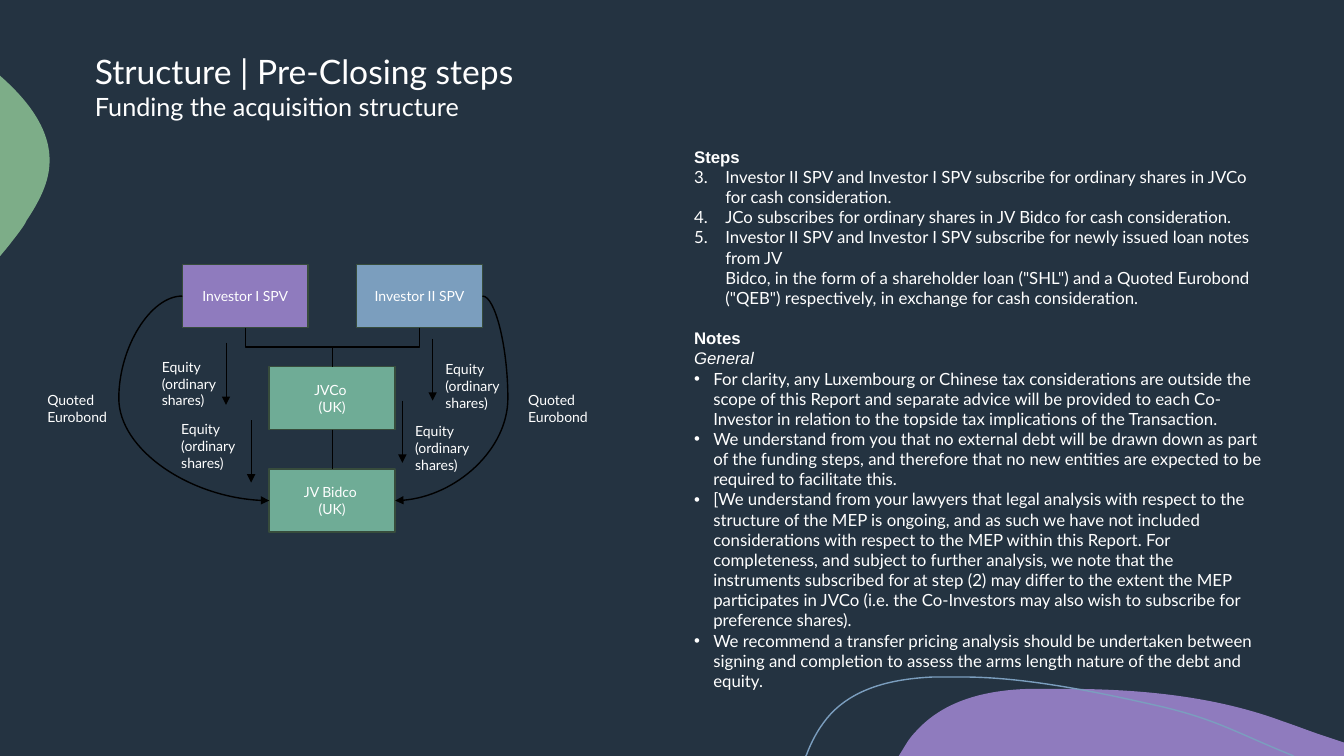
from dataclasses import dataclass
from typing import Optional

from lxml.etree import SubElement
from pptx import Presentation
from pptx.dml.color import RGBColor
from pptx.enum.shapes import MSO_CONNECTOR as Link, MSO_SHAPE as Preset
from pptx.enum.text import MSO_ANCHOR as Anchor, MSO_AUTO_SIZE as Fit, PP_ALIGN as Align
from pptx.oxml.ns import qn
from pptx.util import Inches, Pt

COLUMNS, ROWS = 160, 90
WIDTH, HEIGHT = Inches(13.33), Inches(7.5)
COLORS = {"back": "243341", "white": "FFFFFF", "black": "000000", "purple": "8F7BBE",
          "blue": "7B9EBE", "teal": "6FAC96", "leaf": "7DAD88", "edge": "374C3C"}
BOX_WIDTH, BOX_HEIGHT = 15, 7.5
ARROW_LENGTH = 7.4


@dataclass(frozen=True)
class Entity:
    column: float
    row: float
    color: str
    lines: tuple[str, ...]


@dataclass(frozen=True)
class Label:
    text: str
    column: float
    row: float
    width: float
    height: float


@dataclass(frozen=True)
class Span:
    text: str
    size: float = 12
    font: str = "Lato"
    bold: bool = False
    italic: bool = False
    bullet: str = ""
    indent: float = 0
    before: float = 0
    align: Align = Align.LEFT


@dataclass(frozen=True)
class Blob:
    """An outline whose steps are line ends (2 numbers) or cubic curves (6 numbers)."""
    color: str
    start: tuple[float, float]
    steps: tuple[tuple[float, ...], ...]
    filled: bool = True


BLOBS = (
    Blob("purple", (126.5, 82), (
        (135.4, 82, 144.5, 82.8, 152.8, 85.9), (154.3, 86.4, 155.8, 87, 157.3, 87.5),
        (160, 88.4), (160, 90), (107, 90), (107.8, 88.7),
        (108.2, 88, 108.7, 87.4, 109.3, 86.8), (112.7, 83.2, 117.8, 82.1, 122.8, 82),
        (124, 82, 125.2, 82, 126.5, 82))),
    Blob("leaf", (0, 9), (
        (0.1, 9.1), (3.6, 12.2, 6.5, 16, 5.8, 20.4), (5.5, 22.4, 4.4, 24.4, 3.2, 26.2),
        (2.9, 26.9, 2, 28, 1, 29.3), (0, 30.5))),
    Blob("blue", (95.9, 90), (
        (96, 89.9), (96.7, 88, 97.7, 86.3, 98.9, 85), (102, 81.7, 106.7, 80.8, 111.1, 80.6),
        (114.6, 80.6), (122.6, 80.6, 132, 82.7, 138.6, 84.2),
        (145.1, 85.8, 147.1, 87.2, 154, 90)), filled=False),
)
JVCO = Entity(32.05, 43.65, "teal", ("JVCo ", "(UK)"))
INVESTOR_1 = Entity(21.7, 31.5, "purple", ("Investor I SPV",))
INVESTOR_2 = Entity(42.45, 31.5, "blue", ("Investor II SPV",))
BIDCO = Entity(32.05, 55.85, "teal", ("JV Bidco ", "(UK)"))
EQUITY, BOND = "Equity (ordinary shares)", "Quoted Eurobond"
LABELS = (
    Label(EQUITY, 51.85, 42.35, 9.5, 7.3), Label(EQUITY, 48.25, 49.75, 9.8, 7.3),
    Label(EQUITY, 18.1, 42.05, 9.5, 7.3), Label(EQUITY, 20.4, 49.45, 9.5, 7.3),
    Label(BOND, 61.7, 46, 10.8, 5.3), Label(BOND, 4.45, 46, 10.8, 5.3),
)
ARROW_STARTS = ((51.5, 40.3), (47.9, 47.7), (26.9, 40.8), (29.9, 50.05))
STEPS = (
    "Investor II SPV and Investor I SPV subscribe for ordinary shares in JVCo for cash consideration.",
    "JCo subscribes for ordinary shares in JV Bidco for cash consideration.",
    "Investor II SPV and Investor I SPV subscribe for newly issued loan notes from JV\v"
    "Bidco, in the form of a shareholder loan (\"SHL\") and a Quoted Eurobond (\"QEB\") "
    "respectively, in exchange for cash consideration.",
)
NOTES = (
    "For clarity, any Luxembourg or Chinese tax considerations are outside the scope of this Report "
    "and separate advice will be provided to each Co-Investor in relation to the topside tax "
    "implications of the Transaction.",
    "We understand from you that no external debt will be drawn down as part of the funding steps, "
    "and therefore that no new entities are expected to be required to facilitate this.",
    "[We understand from your lawyers that legal analysis with respect to the structure of the MEP "
    "is ongoing, and as such we have not included considerations with respect to the MEP within "
    "this Report. For completeness, and subject to further analysis, we note that the instruments "
    "subscribed for at step (2) may differ to the extent the MEP participates in JVCo (i.e. the "
    "Co-Investors may also wish to subscribe for preference shares).",
    "We recommend a transfer pricing analysis should be undertaken between signing and completion "
    "to assess the arms length nature of the debt and equity.",
)


def across(columns: float) -> int:
    return round(WIDTH * columns / COLUMNS)


def down(rows: float) -> int:
    return round(HEIGHT * rows / ROWS)


def area(column: float, row: float, width: float, height: float) -> tuple[int, ...]:
    return across(column), down(row), across(width), down(height)


def color(name: str) -> RGBColor:
    return RGBColor.from_string(COLORS[name])


def write(frame, spans: list[Span]) -> None:
    for index, span in enumerate(spans):
        para = frame.add_paragraph() if index else frame.paragraphs[0]
        para.text = span.text
        para.alignment, para.space_before = span.align, Pt(span.before)
        font = para.font
        font.name, font.size, font.bold, font.italic = span.font, Pt(span.size), span.bold, span.italic
        font.color.rgb = color("white")
        if span.bullet:
            props = para._p.get_or_add_pPr()
            props.set("marL", str(Inches(span.indent)))
            props.set("indent", str(-Inches(span.indent)))
            if span.bullet == "•":
                SubElement(props, qn("a:buFont"), typeface="Arial")
                SubElement(props, qn("a:buChar"), char="•")
            else:
                SubElement(props, qn("a:buAutoNum"), type="arabicPeriod", startAt=span.bullet)
            props.append(props.find(qn("a:defRPr")))


def add_text(page, place: tuple[int, ...], spans: list[Span]) -> None:
    frame = page.shapes.add_textbox(*place).text_frame
    frame.word_wrap, frame.auto_size = True, Fit.SHAPE_TO_FIT_TEXT
    write(frame, spans)


def add_blob(page, blob: Blob) -> None:
    builder = page.shapes.build_freeform(across(blob.start[0]), down(blob.start[1]))
    builder.add_line_segments([(across(step[-2]), down(step[-1])) for step in blob.steps], close=blob.filled)
    shape = builder.convert_to_shape()
    segments = list(shape._element.spPr.iter(qn("a:lnTo")))
    for segment, step in zip(segments, blob.steps):
        if len(step) == 6:
            segment.tag = qn("a:cubicBezTo")
            for place, at in enumerate((0, 2)):
                handle = SubElement(segment, qn("a:pt"), x=str(across(step[at]) - shape.left),
                                    y=str(down(step[at + 1]) - shape.top))
                segment.insert(place, handle)
    shape.shadow.inherit = False
    if blob.filled:
        shape.fill.solid()
        shape.fill.fore_color.rgb = color(blob.color)
        shape.line.fill.background()
    else:
        shape.fill.background()
        shape.line.color.rgb, shape.line.width = color(blob.color), Pt(1)


def add_entity(page, entity: Entity):
    box = page.shapes.add_shape(Preset.RECTANGLE, *area(entity.column, entity.row, BOX_WIDTH, BOX_HEIGHT))
    box.shadow.inherit = False
    box.fill.solid()
    box.fill.fore_color.rgb = color(entity.color)
    box.line.color.rgb, box.line.width = color("edge"), Pt(1)
    box.text_frame.vertical_anchor = Anchor.MIDDLE
    write(box.text_frame, [Span(line, 10, align=Align.CENTER) for line in entity.lines])
    return box


def add_link(page, kind: Link, start: tuple[float, float], end: tuple[float, float], width: float = 1,
             arrow: bool = False, bend: Optional[float] = None):
    link = page.shapes.add_connector(kind, across(start[0]), down(start[1]), across(end[0]), down(end[1]))
    link.line.color.rgb, link.line.width = color("black"), Pt(width)
    props = link._element.spPr
    if arrow:
        SubElement(link.line._get_or_add_ln(), qn("a:tailEnd"), type="triangle")
    if bend is not None:
        guides = props.find(qn("a:prstGeom")).get_or_add_avLst()
        SubElement(guides, qn("a:gd"), name="adj1", fmla=f"val {round(bend * 100000)}")
    SubElement(props, qn("a:effectLst"))
    return link


def add_drop(page, start: tuple[float, float], end: tuple[float, float]) -> None:
    """Elbow that leaves downwards: a sideways elbow turned by a quarter."""
    middle, level = (start[0] + end[0]) / 2, (start[1] + end[1]) / 2
    half_width, half_height = (end[1] - start[1]) / 2, abs(end[0] - start[0]) / 2
    side = 1 if start[0] < end[0] else -1
    link = add_link(page, Link.ELBOW, (middle + side * half_width, level - half_height),
                    (middle - side * half_width, level + half_height), bend=0.5)
    link._element.spPr.find(qn("a:xfrm")).set("rot", str((270 if side > 0 else 90) * 60000))


def main() -> None:
    deck = Presentation()
    deck.slide_width, deck.slide_height = WIDTH, HEIGHT
    page = deck.slides.add_slide(deck.slide_layouts[5])
    page.background.fill.solid()
    page.background.fill.fore_color.rgb = color("back")
    for blob in BLOBS:
        add_blob(page, blob)

    title = page.shapes.title
    title.left, title.top, title.width, title.height = area(10.1, 5.5, 54, 9.7)
    frame = title.text_frame
    frame.word_wrap, frame.auto_size, frame.vertical_anchor = False, Fit.SHAPE_TO_FIT_TEXT, Anchor.TOP
    write(frame, [Span("Structure | Pre-Closing steps", 24), Span("Funding the acquisition structure", 18)])

    add_text(page, area(81.45, 16.85, 70.2, 69.1), [
        Span("Steps", font="Arial", bold=True),
        *(Span(step, bullet="3", indent=0.31) for step in STEPS),
        Span("Notes", font="Arial", bold=True, before=14.4),
        Span("General", font="Arial", italic=True),
        *(Span(note, bullet="•", indent=0.19) for note in NOTES)])

    jvco, _, _, bidco = [add_entity(page, entity) for entity in (JVCO, INVESTOR_1, INVESTOR_2, BIDCO)]
    center = JVCO.column + BOX_WIDTH / 2
    stem = add_link(page, Link.STRAIGHT, (center, JVCO.row + BOX_HEIGHT), (center, BIDCO.row))
    stem.begin_connect(jvco, 2)
    stem.end_connect(bidco, 0)
    for investor, side, bend in ((INVESTOR_1, 0, -0.73), (INVESTOR_2, BOX_WIDTH, -0.29)):
        add_drop(page, (investor.column + BOX_WIDTH / 2, investor.row + BOX_HEIGHT), (center, JVCO.row))
        add_link(page, Link.CURVE, (investor.column + side, investor.row + BOX_HEIGHT / 2),
                 (BIDCO.column + side, BIDCO.row + BOX_HEIGHT / 2), arrow=True, bend=bend)
    for column, row in ARROW_STARTS:
        add_link(page, Link.STRAIGHT, (column, row), (column, row + ARROW_LENGTH), 0.5, arrow=True)
    for label in LABELS:
        add_text(page, area(label.column, label.row, label.width, label.height), [Span(label.text, 10)])
    deck.save("out.pptx")


if __name__ == "__main__":
    main()
